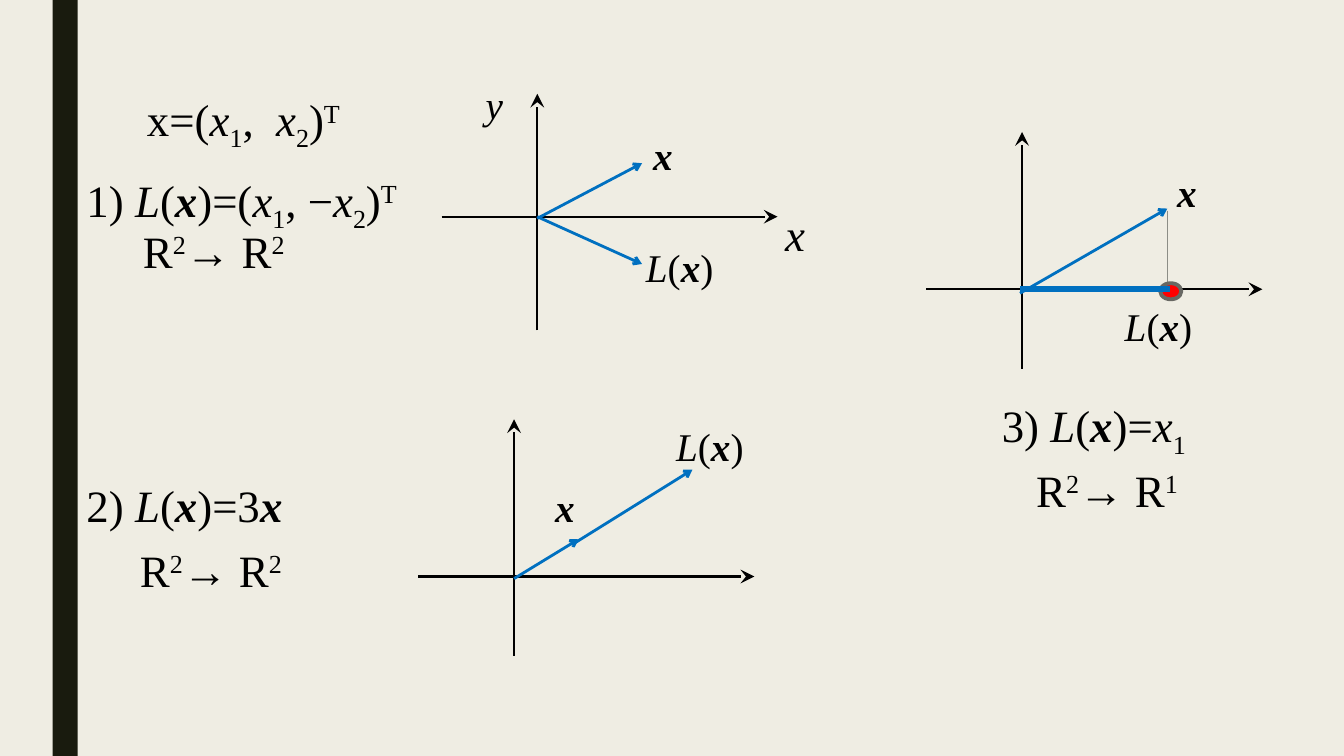
from dataclasses import dataclass
from itertools import groupby

from lxml.etree import SubElement
from pptx import Presentation
from pptx.dml.color import RGBColor
from pptx.enum.shapes import MSO_CONNECTOR, MSO_SHAPE
from pptx.enum.text import MSO_AUTO_SIZE, PP_ALIGN
from pptx.oxml.ns import qn
from pptx.slide import Slide
from pptx.util import Pt

BLACK, BLUE, GRAY = "000000", "0070C0", "8C8D86"
MARKS = "/*_^"  # italic, bold italic, subscript, superscript: each for the next letter


@dataclass
class Label:
    left: float
    top: float
    width: float
    height: float
    text: str
    size: int = 32
    tall: bool = False  # justified, 1.5 line spacing


@dataclass
class Line:
    x1: float
    y1: float
    x2: float
    y2: float
    color: str = BLUE
    weight: float = 2
    head: str = "arrow"
    scale: str = "med"


@dataclass
class Axes:
    x: float
    y: float
    rise: float  # height above the origin


def paint(code: str) -> RGBColor:
    return RGBColor.from_string(code)


def split(text: str) -> list[tuple[str, str]]:
    """Turn marked text into pairs of mark and letters."""
    pairs, mark = [], ""
    for char in text:
        if char in MARKS:
            mark = char
        else:
            pairs.append((mark, char))
            mark = ""
    return [(key, "".join(char for _, char in part))
            for key, part in groupby(pairs, key=lambda pair: pair[0])]


def add_label(slide: Slide, label: Label) -> None:
    box = slide.shapes.add_textbox(Pt(label.left), Pt(label.top), Pt(label.width), Pt(label.height))
    frame = box.text_frame
    frame.word_wrap = False
    frame.auto_size = MSO_AUTO_SIZE.SHAPE_TO_FIT_TEXT
    para = frame.paragraphs[0]
    if label.tall:
        para.alignment = PP_ALIGN.JUSTIFY
        para.line_spacing = 1.5
    for mark, text in split(label.text):
        run = para.add_run()
        run.text = text
        font = run.font
        font.name, font.size = "Times New Roman", Pt(label.size)
        font.color.rgb = paint(BLACK)
        font.bold = mark == "*"
        font.italic = mark in ("/", "*")
        if mark in ("_", "^"):
            run._r.get_or_add_rPr().set("baseline", "-25000" if mark == "_" else "30000")


def add_line(slide: Slide, line: Line) -> None:
    shape = slide.shapes.add_connector(
        MSO_CONNECTOR.STRAIGHT, Pt(line.x1), Pt(line.y1), Pt(line.x2), Pt(line.y2))
    shape.line.color.rgb = paint(line.color)
    shape.line.width = Pt(line.weight)
    if line.head:
        SubElement(shape.line._get_or_add_ln(), qn("a:tailEnd"),
                   type=line.head, w=line.scale, len=line.scale)
    SubElement(shape._element.spPr, qn("a:effectLst"))


def add_axes(slide: Slide, axes: Axes) -> None:
    left, top = axes.x - 68.4, axes.y - axes.rise
    for ends in ((left, axes.y, left + 240, axes.y), (axes.x, top + 169, axes.x, top)):
        add_line(slide, Line(*ends, BLACK, 1.5, "stealth", "lg"))


def add_shape(slide: Slide, kind: MSO_SHAPE, place: tuple[float, ...], fill: str,
              edge: str = "", weight: float = 0) -> None:
    shape = slide.shapes.add_shape(kind, *map(Pt, place))
    shape.shadow.inherit = False
    shape.fill.solid()
    shape.fill.fore_color.rgb = paint(fill)
    if edge:
        shape.line.color.rgb = paint(edge)
        shape.line.width = Pt(weight)
    else:
        shape.line.fill.background()


AXES = [Axes(383.8, 154.8, 87.8), Axes(367.2, 411.8, 112.3), Axes(730.1, 206.6, 112.3)]

LINES = [
    # Reflection
    Line(383.8, 156, 458.6, 116.6),
    Line(383.8, 154.8, 458.6, 188.6),
    # Scaling
    Line(367.2, 413.3, 413.3, 385.2),
    Line(409, 388.8, 494.6, 335.5),
    # Projection
    Line(728.6, 209.5, 833.8, 149),
    Line(833.8, 150.5, 833.8, 206.6, GRAY, 0.5, ""),
]

FORMULAS = [
    Label(97.9, 40.3, 157.7, 65.5, "x=(/x_1,  /x_2)^T", tall=True),
    Label(54.7, 97.9, 249.8, 58.3, "1) /L(*x)=(/x_1, −/x_2)^T", tall=True),
    Label(95, 156.2, 127.4, 46, "R^2→ R^2"),
    Label(54.7, 337.7, 155.5, 46, "2) /L(*x)=3*x"),
    Label(92.9, 383.8, 127.4, 46, "R^2→ R^2"),
    Label(708.5, 280.8, 148.3, 46, "3) /L(*x)=/x_1"),
    Label(733, 326.9, 127.4, 46, "R^2→ R^1"),
]

NAMES = [
    Label(339.8, 54, 27.4, 41, "/y", 28),
    Label(553.7, 144, 28.8, 46, "/x"),
] + [Label(left, top, 28.8, 41, "*x", 28)
     for left, top in ((459.4, 90), (389.5, 342), (833.8, 116.6))
] + [Label(left, top, 63.4, 41, "/L(*x)", 28)
     for left, top in ((454.3, 170.6), (475.9, 298.1), (796.3, 212.4))]


def main() -> None:
    deck = Presentation()
    deck.slide_width, deck.slide_height = Pt(960), Pt(540)
    slide = deck.slides.add_slide(deck.slide_layouts[6])

    # Background and side bar
    slide.background.fill.solid()
    slide.background.fill.fore_color.rgb = paint("EFEDE3")
    add_shape(slide, MSO_SHAPE.RECTANGLE, (37.5, 0, 18, 540), "191B0E")

    # Graphs
    for axes in AXES:
        add_axes(slide, axes)
    for line in LINES:
        add_line(slide, line)

    # Projected point and its segment
    add_shape(slide, MSO_SHAPE.OVAL, (828.7, 202.3, 15.1, 11.5), "FF0000", "686863", 2.75)
    add_line(slide, Line(728.6, 206.6, 835.9, 206.6, BLUE, 4.5, ""))

    # Formulas and names of vectors
    for label in FORMULAS + NAMES:
        add_label(slide, label)

    deck.save("out.pptx")


if __name__ == "__main__":
    main()
